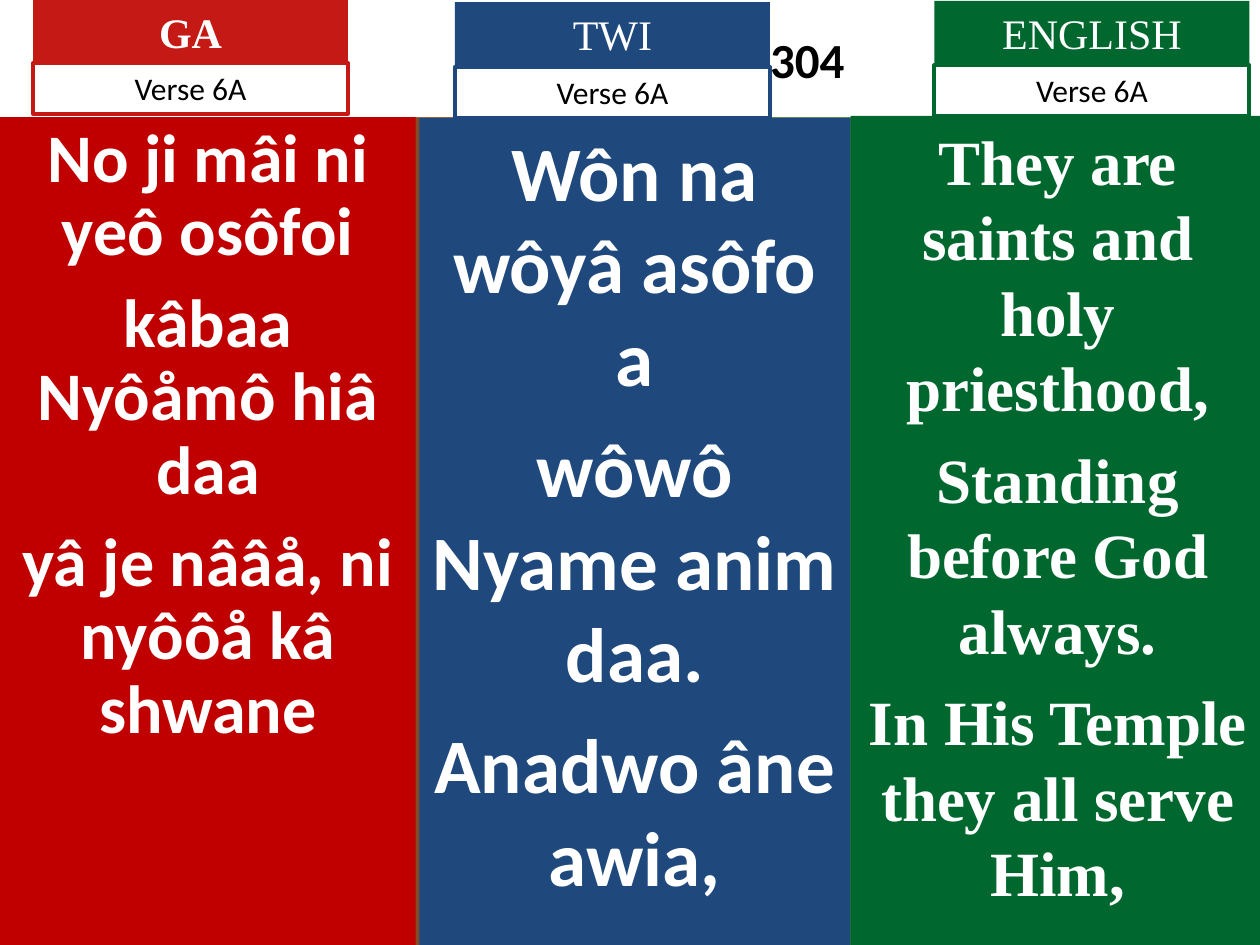
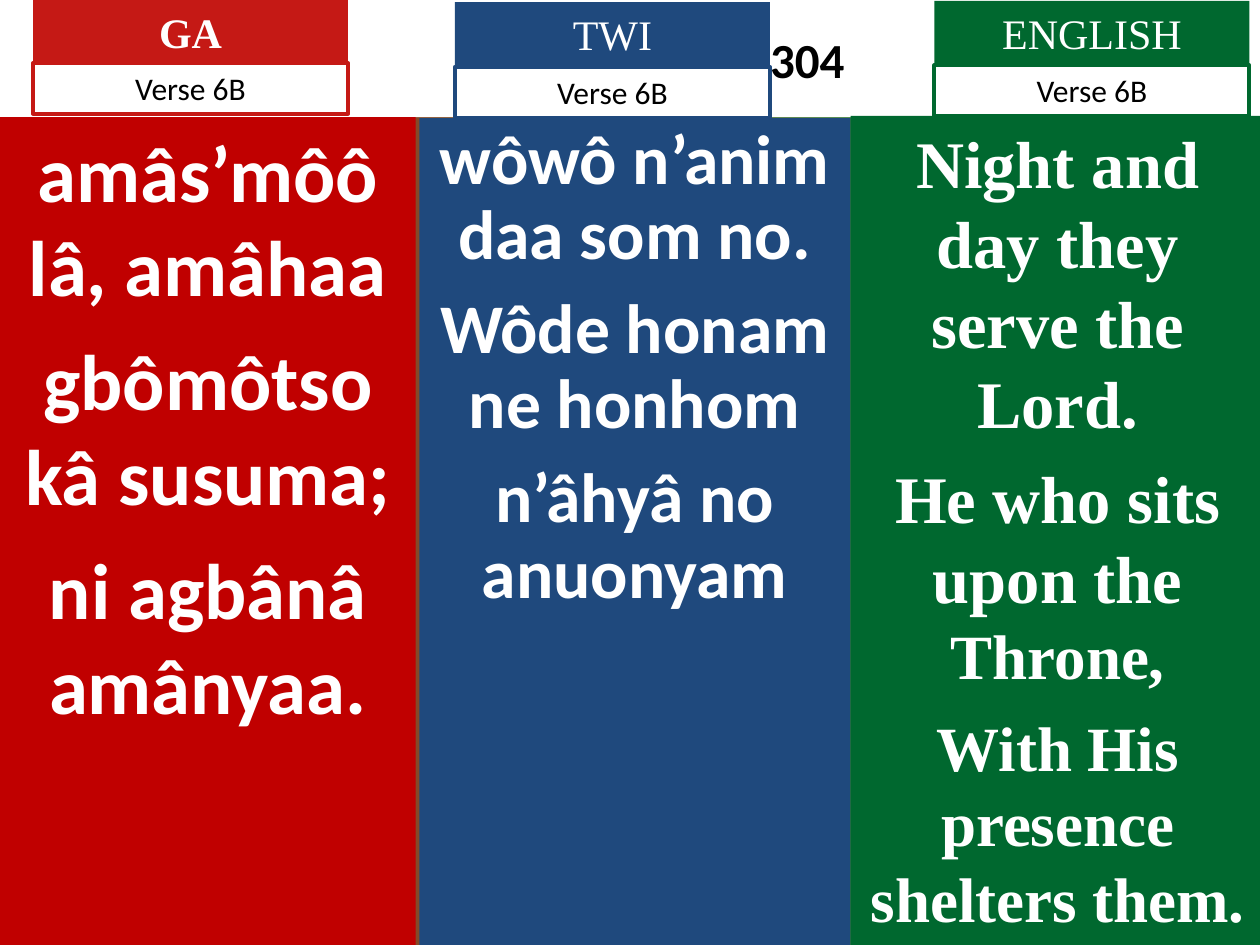
from collections import namedtuple

from pptx import Presentation
from pptx.dml.color import RGBColor
from pptx.enum.shapes import MSO_SHAPE
from pptx.enum.text import MSO_ANCHOR, PP_ALIGN
from pptx.util import Pt

SLIDE_WIDTH, SLIDE_HEIGHT = 720, 540
WHITE, BLACK = "FFFFFF", "000000"
RED, BLUE, GREEN = "C51915", "1F497D", "00682F"
DEEP_RED, BACKGROUND_GREEN = "C00000", "00B050"
SANS, SERIF = "Calibri", "Times New Roman"
TITLE_HEIGHT = 67
LABEL_WIDTH, LABEL_HEIGHT, VERSE_HEIGHT = 180, 36, 29

Language = namedtuple(
    "Language", "name bold_name color body_color font body_box label_left label_top verse_top"
)
Lyrics = namedtuple("Lyrics", "paragraphs size space_before line_spacing", defaults=(1.0,))

LANGUAGES = [
    Language("GA", True, RED, DEEP_RED, SANS, (0, 67, 237.6, 473), 18.9, 0, 36),
    Language("TWI", False, BLUE, BLUE, SANS, (239.6, 67.5, 246.4, 472.5), 260, 1.3, 38.2),
    Language("ENGLISH", False, GREEN, GREEN, SERIF, (486, 66.2, 236.9, 473.8), 534, 0.5, 37.3),
]

HYMN_NUMBER = "304"
VERSES = {
    "Verse 6A": [
        Lyrics(
            ["No ji mâi ni yeô osôfoi", "kâbaa Nyôåmô hiâ daa", "yâ je nââå, ni nyôôå kâ shwane"],
            38.9, 10.5, 0.9,
        ),
        Lyrics(["Wôn na wôyâ asôfo a", "wôwô Nyame anim daa.", "Anadwo âne awia,"], 44, 11),
        Lyrics(
            ["They are saints and holy priesthood,", "Standing before God always.",
             "In His Temple they all serve Him,"],
            36, 9,
        ),
    ],
    "Verse 6B": [
        Lyrics(["amâs’môô lâ, amâhaa", "gbômôtso kâ susuma;", "ni agbânâ amânyaa."], 45, 11.2),
        Lyrics(
            ["wôwô n’anim daa som no.", "Wôde honam ne honhom", "n’âhyâ no anuonyam"],
            39.8, 10.7, 0.9,
        ),
        Lyrics(
            ["Night and day they serve the Lord.",
             [("He who sits upon the ", 38), ("Throne,", 36)],
             [("With His presence shelters them.", 36)]],
            38, 9,
        ),
    ],
}


def rgb(value):
    return RGBColor.from_string(value)


def add_rectangle(slide, left, top, width, height, fill=None, line=None):
    shape = slide.shapes.add_shape(
        MSO_SHAPE.RECTANGLE, Pt(left), Pt(top), Pt(width), Pt(height)
    )
    shape.shadow.inherit = False
    if fill:
        shape.fill.solid()
        shape.fill.fore_color.rgb = rgb(fill)
    else:
        shape.fill.background()
    if line:
        shape.line.color.rgb = rgb(line)
        shape.line.width = Pt(2.25)
    else:
        shape.line.fill.background()
    return shape


def write_text(shape, paragraphs, size, font=SANS, color=WHITE, bold=False,
               anchor=MSO_ANCHOR.TOP, space_before=0, line_spacing=1.0, margin_left=7.2):
    frame = shape.text_frame
    frame.word_wrap = True
    frame.vertical_anchor = anchor
    frame.margin_left, frame.margin_right = Pt(margin_left), Pt(7.2)
    frame.margin_top = frame.margin_bottom = Pt(3.6)
    for index, content in enumerate(paragraphs):
        paragraph = frame.add_paragraph() if index else frame.paragraphs[0]
        paragraph.alignment = PP_ALIGN.CENTER
        paragraph.line_spacing = line_spacing
        paragraph.space_before = Pt(space_before if index else 0)
        runs = [(content, size)] if isinstance(content, str) else content
        for text, run_size in runs:
            run = paragraph.add_run()
            run.text = text
            run.font.name = font
            run.font.size = Pt(run_size)
            run.font.bold = bold
            run.font.color.rgb = rgb(color)


def paint_background(slide):
    fill = slide.background.fill
    fill.gradient()
    fill.gradient_angle = 0
    for stop, color in zip(fill.gradient_stops, (RED, BACKGROUND_GREEN)):
        stop.color.rgb = rgb(color)


def add_title_band(slide):
    band = add_rectangle(slide, 0, 0, SLIDE_WIDTH, TITLE_HEIGHT, fill=WHITE)
    write_text(band, [HYMN_NUMBER], 28, color=BLACK, bold=True,
               anchor=MSO_ANCHOR.MIDDLE, margin_left=209.7)


def add_language_column(slide, language, verse_name, lyrics):
    body = add_rectangle(slide, *language.body_box, fill=language.body_color)
    write_text(body, lyrics.paragraphs, lyrics.size, font=language.font, bold=True,
               space_before=lyrics.space_before, line_spacing=lyrics.line_spacing)
    label = add_rectangle(slide, language.label_left, language.label_top,
                          LABEL_WIDTH, LABEL_HEIGHT, fill=language.color)
    write_text(label, [language.name], 24, font=SERIF, bold=language.bold_name)
    verse = add_rectangle(slide, language.label_left, language.verse_top,
                          LABEL_WIDTH, VERSE_HEIGHT, line=language.color)
    write_text(verse, [verse_name], 18, color=BLACK)


def add_verse_slide(presentation, verse_name, translations):
    slide = presentation.slides.add_slide(presentation.slide_layouts[6])
    paint_background(slide)
    add_title_band(slide)
    for language, lyrics in zip(LANGUAGES, translations):
        add_language_column(slide, language, verse_name, lyrics)


def main():
    presentation = Presentation()
    presentation.slide_width = Pt(SLIDE_WIDTH)
    presentation.slide_height = Pt(SLIDE_HEIGHT)
    for verse_name, translations in VERSES.items():
        add_verse_slide(presentation, verse_name, translations)
    presentation.save("out.pptx")


if __name__ == "__main__":
    main()
